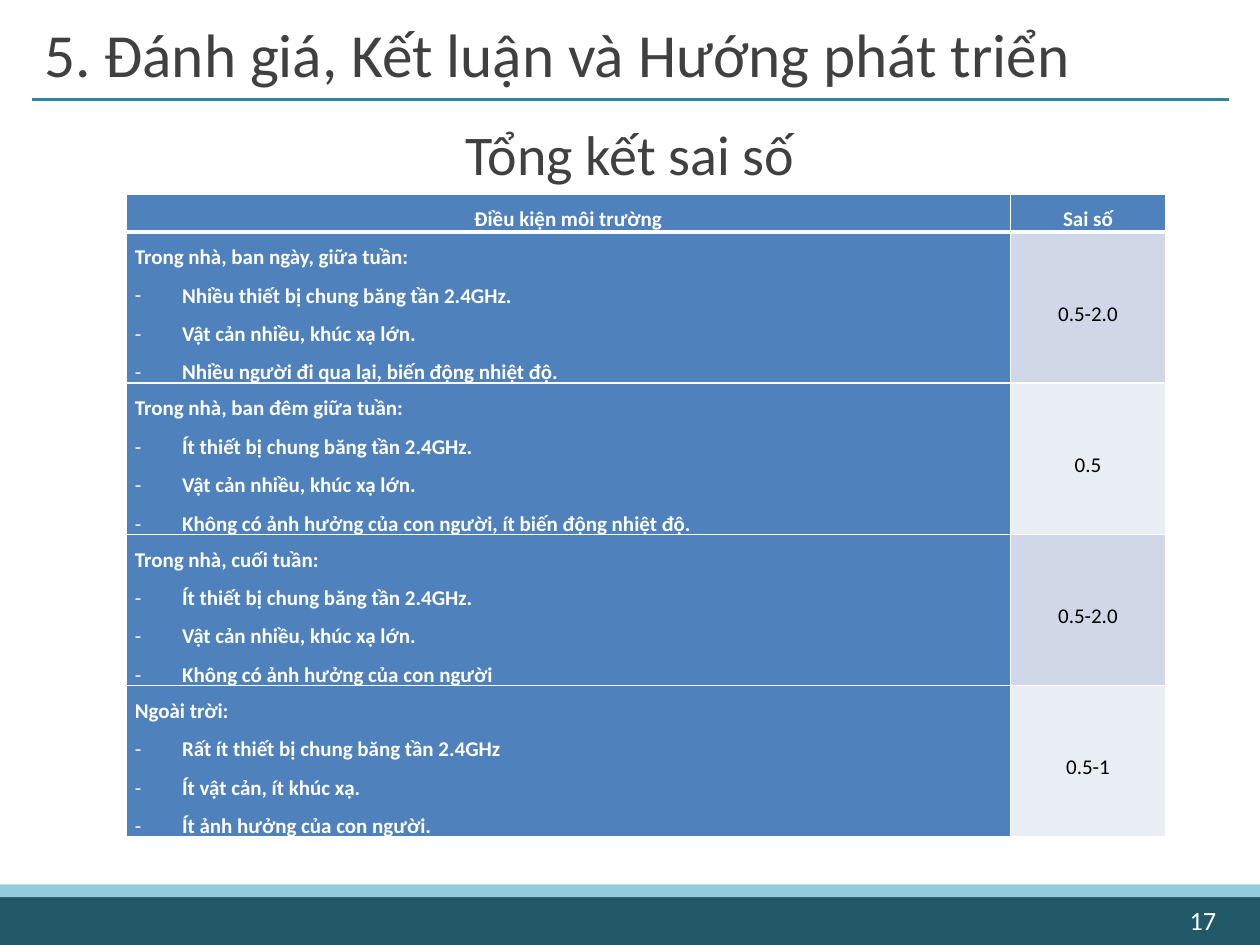
"""Build the error summary slide with its table of environment conditions."""
from dataclasses import dataclass

import pptx
import pptx.dml.color
import pptx.enum.shapes
import pptx.enum.text
import pptx.oxml
import pptx.oxml.ns
import pptx.util

RGBColor = pptx.dml.color.RGBColor
WHITE = RGBColor(0xFF, 0xFF, 0xFF)
BLACK = RGBColor(0x00, 0x00, 0x00)
GREY = RGBColor(0x40, 0x40, 0x40)
DARK_TEAL = RGBColor(0x21, 0x59, 0x68)
TEAL = RGBColor(0x31, 0x85, 0x9C)
PALE_TEAL = RGBColor(0x93, 0xCD, 0xDD)
BLUE = RGBColor(0x4F, 0x81, 0xBD)
BANDS = (RGBColor(0xD0, 0xD8, 0xE8), RGBColor(0xE9, 0xED, 0xF4))

FONT = "Calibri"
WIDTH, HEIGHT = pptx.util.Inches(10), pptx.util.Inches(7.5)
COLUMNS, ROWS = 100, 75
ALIGN = pptx.enum.text.PP_ALIGN
ANCHOR = pptx.enum.text.MSO_ANCHOR


@dataclass(frozen=True)
class Frame:
    """A place on the slide, in columns and rows of the grid."""
    column: float
    row: float
    columns: float
    rows: float

    def lengths(self) -> tuple:
        return across(self.column), down(self.row), across(self.columns), down(self.rows)


@dataclass(frozen=True)
class Condition:
    """An environment, its traits and the error measured there."""
    place: str
    traits: tuple
    error: str


CONDITIONS = (
    Condition("Trong nhà, ban ngày, giữa tuần:",
              ("Nhiều thiết bị chung băng tần 2.4GHz.", "Vật cản nhiều, khúc xạ lớn.",
               "Nhiều người đi qua lại, biến động nhiệt độ."), "0.5-2.0"),
    Condition("Trong nhà, ban đêm giữa tuần:",
              ("Ít thiết bị chung băng tần 2.4GHz.", "Vật cản nhiều, khúc xạ lớn.",
               "Không có ảnh hưởng của con người, ít biến động nhiệt độ."), "0.5"),
    Condition("Trong nhà, cuối tuần:",
              ("Ít thiết bị chung băng tần 2.4GHz.", "Vật cản nhiều, khúc xạ lớn.",
               "Không có ảnh hưởng của con người"), "0.5-2.0"),
    Condition("Ngoài trời:",
              ("Rất ít thiết bị chung băng tần 2.4GHz", "Ít vật cản, ít khúc xạ.",
               "Ít ảnh hưởng của con người."), "0.5-1"),
)


def across(columns: float) -> int:
    """Turn grid columns into a length."""
    return round(WIDTH * columns / COLUMNS)


def down(rows: float) -> int:
    """Turn grid rows into a length."""
    return round(HEIGHT * rows / ROWS)


def set_all(target, values: dict) -> None:
    """Set every named attribute of the target."""
    for name, value in values.items():
        setattr(target, name, value)


def write(para, text: str, size: float, color, bold: bool = False, align=ALIGN.LEFT) -> None:
    """Write one formatted run into a paragraph."""
    para.alignment = align
    span = para.add_run()
    span.text = text
    set_all(span.font, {"name": FONT, "size": pptx.util.Pt(size), "bold": bold})
    span.font.color.rgb = color


def add_band(page, frame: Frame, color) -> None:
    """Draw a plain filled rectangle."""
    band = page.shapes.add_shape(pptx.enum.shapes.MSO_SHAPE.RECTANGLE, *frame.lengths())
    band.shadow.inherit = False
    band.fill.solid()
    band.fill.fore_color.rgb = color
    band.line.fill.background()


def add_rule(page, column: float, row: float, columns: float) -> None:
    """Draw the line below the title."""
    rule = page.shapes.add_connector(
        pptx.enum.shapes.MSO_CONNECTOR.STRAIGHT,
        across(column), down(row), across(column + columns), down(row))
    rule.line.color.rgb = TEAL
    rule.line.width = pptx.util.Pt(1.5)
    rule._element.spPr.append(pptx.oxml.parse_xml(
        f"<a:effectLst {pptx.oxml.ns.nsdecls('a')}/>"))


def add_text(page, frame: Frame, text: str, size: float, color, align, anchor) -> None:
    """Add a wrapped text box."""
    box = page.shapes.add_textbox(*frame.lengths())
    set_all(box.text_frame, {"word_wrap": True, "vertical_anchor": anchor})
    write(box.text_frame.paragraphs[0], text, size, color, align=align)


def add_dash(para) -> None:
    """Give a paragraph a hanging dash bullet."""
    properties = para._p.get_or_add_pPr()
    indent = across(3.75)
    properties.set("marL", str(indent))
    properties.set("indent", str(-indent))
    for markup in (f'buFont {pptx.oxml.ns.nsdecls("a")} typeface="{FONT}"',
                   f'buChar {pptx.oxml.ns.nsdecls("a")} char="-"'):
        properties.append(pptx.oxml.parse_xml(f"<a:{markup}/>"))


def fill_cell(cell, lines: tuple, fill, color, bold: bool, align, edges: dict) -> None:
    """Write and format a cell; every line after the first gets a dash."""
    side = across(0.7)
    set_all(cell, {"margin_left": side, "margin_right": side, "margin_top": 0,
                   "margin_bottom": 0, "vertical_anchor": ANCHOR.MIDDLE})
    properties = cell._tc.get_or_add_tcPr()
    for edge, points in edges.items():
        properties.append(pptx.oxml.parse_xml(
            f'<a:ln{edge} {pptx.oxml.ns.nsdecls("a")} w="{pptx.util.Pt(points)}">'
            f'<a:solidFill><a:srgbClr val="{WHITE}"/></a:solidFill></a:ln{edge}>'))
    cell.fill.solid()
    cell.fill.fore_color.rgb = fill
    for index, line in enumerate(lines):
        para = cell.text_frame.add_paragraph() if index else cell.text_frame.paragraphs[0]
        para.line_spacing = 1.5
        write(para, line, 12, color, bold, align)
        if index:
            add_dash(para)


def add_error_table(page, frame: Frame) -> None:
    """Add the table of conditions and errors."""
    table = page.shapes.add_table(len(CONDITIONS) + 1, 2, *frame.lengths()).table
    table.horz_banding = False
    for column, columns in zip(table.columns, (70.2, 12.3)):
        column.width = across(columns)
    for index, row in enumerate(table.rows):
        row.height = down(11.7 if index else 2.9)
    header_edges = {"L": 1, "R": 1, "T": 1, "B": 3}
    for index, heading in enumerate(("Điều kiện môi trường", "Sai số")):
        fill_cell(table.cell(0, index), (heading,), BLUE, WHITE, True, ALIGN.CENTER, header_edges)
    for index, condition in enumerate(CONDITIONS):
        edges = {"L": 1, "R": 1, "T": 1 if index else 3, "B": 1}
        fill_cell(table.cell(index + 1, 0), (condition.place, *condition.traits),
                  BLUE, WHITE, True, ALIGN.LEFT, edges)
        fill_cell(table.cell(index + 1, 1), (condition.error,),
                  BANDS[index % len(BANDS)], BLACK, False, ALIGN.CENTER, edges)


def main() -> None:
    """Build and save the deck."""
    deck = pptx.Presentation()
    set_all(deck, {"slide_width": WIDTH, "slide_height": HEIGHT})
    page = deck.slides.add_slide(deck.slide_layouts.get_by_name("Title Only"))
    add_band(page, Frame(0, 71, COLUMNS, 4), DARK_TEAL)
    add_rule(page, 2.5, 7.9, 95)
    add_band(page, Frame(0, 70.2, COLUMNS, 1), PALE_TEAL)
    title = page.shapes.title
    set_all(title, dict(zip(("left", "top", "width", "height"),
                            Frame(2.5, 0.7, 95, 7).lengths())))
    set_all(title.text_frame, {"word_wrap": True, "vertical_anchor": ANCHOR.MIDDLE,
                               "auto_size": pptx.enum.text.MSO_AUTO_SIZE.NONE})
    write(title.text_frame.paragraphs[0], "5. Đánh giá, Kết luận và Hướng phát triển", 35, GREY)
    add_text(page, Frame(2.5, 9, 95, 7.7), "Tổng kết sai số", 32, GREY, ALIGN.CENTER, ANCHOR.TOP)
    add_error_table(page, Frame(10, 15.4, 82.5, 49.7))
    add_text(page, Frame(75, 71, 22.5, 4), "17", 15, WHITE, ALIGN.RIGHT, ANCHOR.MIDDLE)
    deck.save("out.pptx")


if __name__ == "__main__":
    main()
